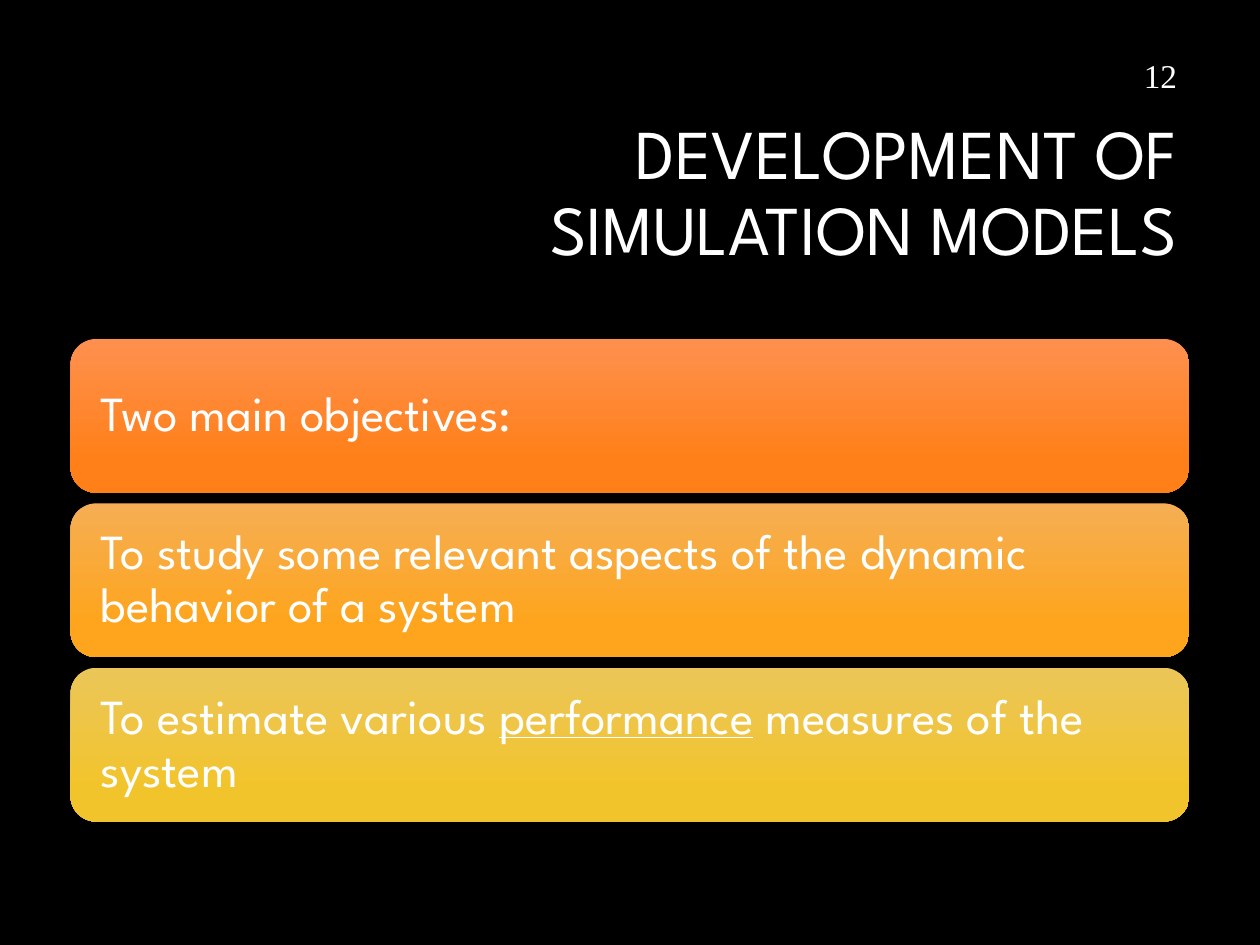
from dataclasses import dataclass

from pptx import Presentation
from pptx.dml.color import RGBColor
from pptx.enum.shapes import MSO_SHAPE
from pptx.enum.text import MSO_ANCHOR, PP_ALIGN
from pptx.util import Inches, Pt


@dataclass(frozen=True)
class Theme:
    background: str = "000000"
    text: str = "FFFFFF"
    font: str = "League Spartan"
    number_font: str = "Times New Roman"
    title_size: int = 40
    body_size: int = 28
    number_size: int = 19
    line_spacing: float = 0.9


THEME = Theme()

TITLE = "DEVELOPMENT OF SIMULATION MODELS"
PAGE_NUMBER = "12"

# Each objective: runs as (text, underlined), then top and bottom gradient colours
OBJECTIVES = [
    ([("Two main objectives:", False)], ("FE904F", "FF8019")),
    ([("To study some relevant aspects of the dynamic behavior of a system", False)],
     ("F5AE53", "FEA51D")),
    ([("To estimate various ", False), ("performance", True),
      (" measures of the system", False)], ("EBC659", "F2C42C")),
]

CARD_LEFT, CARD_TOP = 0.56, 2.69
CARD_WIDTH, CARD_HEIGHT = 8.88, 1.22
CARD_PITCH = 1.305
CARD_INSET = 0.18
GRADIENT_END = 0.78


def write(frame, runs, size, font, align):
    """Fill a text frame with one paragraph of (text, underlined) runs."""
    frame.word_wrap = True
    frame.vertical_anchor = MSO_ANCHOR.MIDDLE
    paragraph = frame.paragraphs[0]
    paragraph.alignment = align
    paragraph.line_spacing = THEME.line_spacing
    for text, underlined in runs:
        run = paragraph.add_run()
        run.text = text
        run.font.name = font
        run.font.size = Pt(size)
        run.font.color.rgb = RGBColor.from_string(THEME.text)
        if underlined:
            run.font.underline = True


def add_heading(slide, box, text, size, font):
    heading = slide.shapes.add_textbox(*map(Inches, box))
    write(heading.text_frame, [(text, False)], size, font, PP_ALIGN.RIGHT)


def add_card(slide, top, runs, colours):
    card = slide.shapes.add_shape(
        MSO_SHAPE.ROUNDED_RECTANGLE,
        *map(Inches, (CARD_LEFT, top, CARD_WIDTH, CARD_HEIGHT)))
    card.shadow.inherit = False
    card.line.fill.background()
    card.fill.gradient()
    card.fill.gradient_angle = 270  # top to bottom
    stops = zip(card.fill.gradient_stops, (0, GRADIENT_END), colours)
    for stop, position, colour in stops:
        stop.position = position
        stop.color.rgb = RGBColor.from_string(colour)
    frame = card.text_frame
    frame.margin_left = frame.margin_right = Inches(CARD_INSET)
    frame.margin_top = frame.margin_bottom = Inches(CARD_INSET)
    write(frame, runs, THEME.body_size, THEME.font, PP_ALIGN.LEFT)


def main():
    deck = Presentation()
    deck.slide_width, deck.slide_height = Inches(10), Inches(7.5)
    slide = deck.slides.add_slide(deck.slide_layouts[6])
    slide.background.fill.solid()
    slide.background.fill.fore_color.rgb = RGBColor.from_string(THEME.background)

    add_heading(slide, (2.38, 0.84, 7.06, 1.41), TITLE, THEME.title_size, THEME.font)
    for index, (runs, colours) in enumerate(OBJECTIVES):
        add_card(slide, CARD_TOP + index * CARD_PITCH, runs, colours)
    add_heading(slide, (7.19, 0.42, 2.25, 0.4), PAGE_NUMBER,
                THEME.number_size, THEME.number_font)

    deck.save("out.pptx")


if __name__ == "__main__":
    main()
